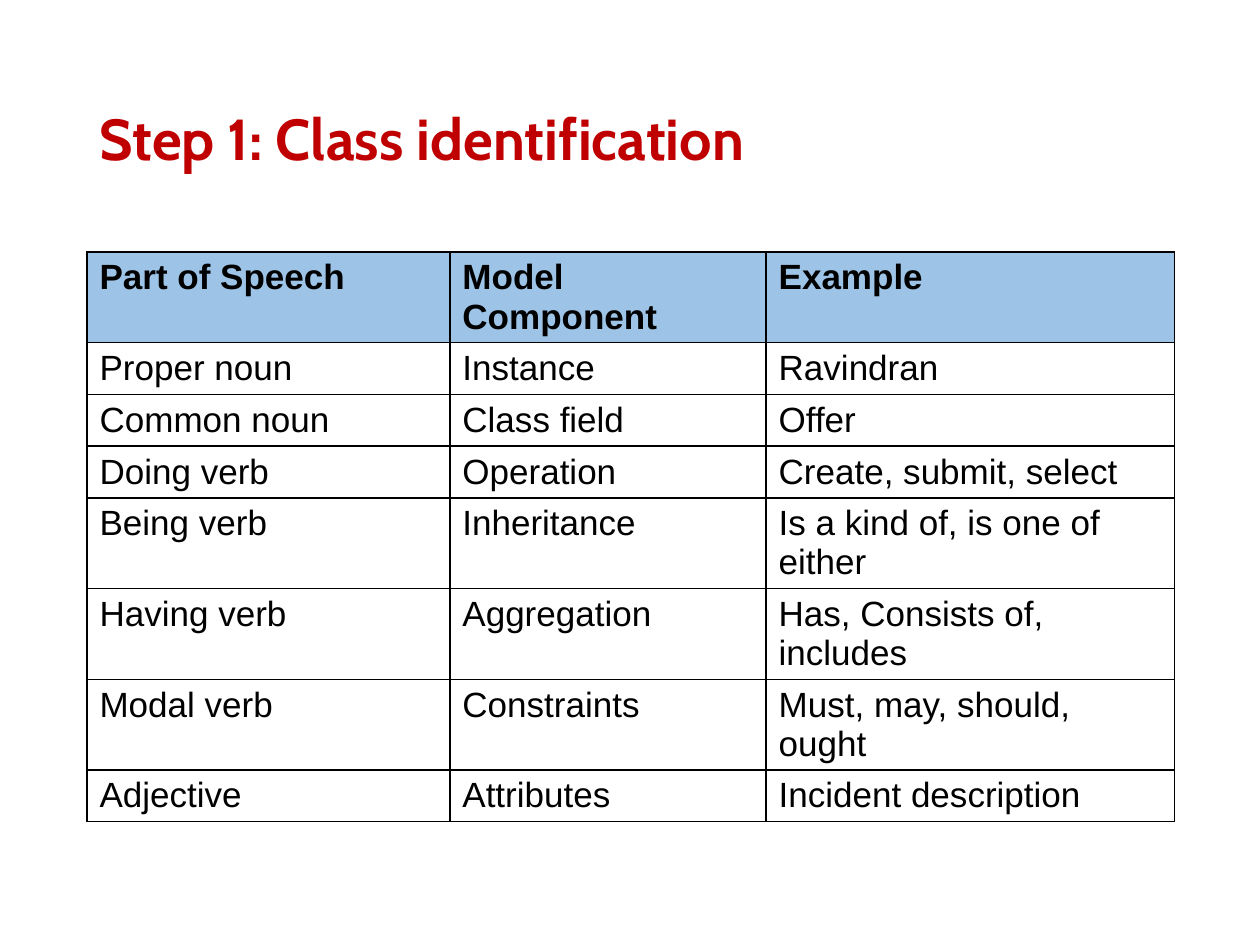
from pptx import Presentation
from pptx.dml.color import RGBColor
from pptx.enum import text
from pptx.oxml import parse_xml
from pptx.oxml.ns import nsdecls
from pptx.util import Inches, Pt


def rgb(value):
    return RGBColor.from_string(value)


def add_borders(cell, color="000000", width=Pt(1)):
    tcPr = cell._tc.get_or_add_tcPr()
    for i, side in enumerate(("lnL", "lnR", "lnT", "lnB")):
        tcPr.insert(i, parse_xml(
            f'<a:{side} {nsdecls("a")} w="{width}"><a:solidFill>'
            f'<a:srgbClr val="{color}"/></a:solidFill></a:{side}>'))


prs = Presentation()
prs.slide_width, prs.slide_height = Inches(10), Inches(7.5)
s = prs.slides.add_slide(prs.slide_layouts[5])

# Title
sp = s.shapes.title
sp.left, sp.top = Inches(0.69), Inches(0.4)
sp.width, sp.height = Inches(8.62), Inches(1.45)
tf = sp.text_frame
tf.text = "Step 1: Class identification"
tf.auto_size = text.MSO_AUTO_SIZE.NONE
tf.vertical_anchor = text.MSO_ANCHOR.MIDDLE
p = tf.paragraphs[0]
p.alignment = text.PP_ALIGN.LEFT
p.line_spacing = 0.9
r = p.runs[0]
r.font.color.rgb = rgb("C00000")
for name, value in {"name": "Cabin", "size": Pt(33), "bold": True}.items():
    setattr(r.font, name, value)

# Parts of speech table
rows = [
    ("Part of Speech", "Model Component", "Example"),
    ("Proper noun", "Instance", "Ravindran"),
    ("Common noun", "Class field", "Offer"),
    ("Doing verb", "Operation", "Create, submit, select"),
    ("Being verb", "Inheritance", "Is a kind of, is one of either"),
    ("Having verb", "Aggregation", "Has, Consists of, includes"),
    ("Modal verb", "Constraints", "Must, may, should, ought"),
    ("Adjective", "Attributes", "Incident description"),
]
widths = [2.88, 2.51, 3.24]
row_height = Inches(0.41)
table = s.shapes.add_table(len(rows), len(widths), Inches(0.69), Inches(2),
                           Inches(8.62), row_height * len(rows)).table
for column, width in zip(table.columns, widths):
    column.width = Inches(width)

for i, row in enumerate(rows):
    table.rows[i].height = row_height
    for j, label in enumerate(row):
        cell = table.cell(i, j)
        cell.text = label
        if i == 0:
            cell.fill.solid()
            cell.fill.fore_color.rgb = rgb("9DC3E6")
        else:
            cell.fill.background()
        add_borders(cell)
        r = cell.text_frame.paragraphs[0].runs[0]
        r.font.color.rgb = rgb("000000")
        for name, value in {"name": "Arial", "size": Pt(20), "bold": i == 0}.items():
            setattr(r.font, name, value)

prs.save("out.pptx")
